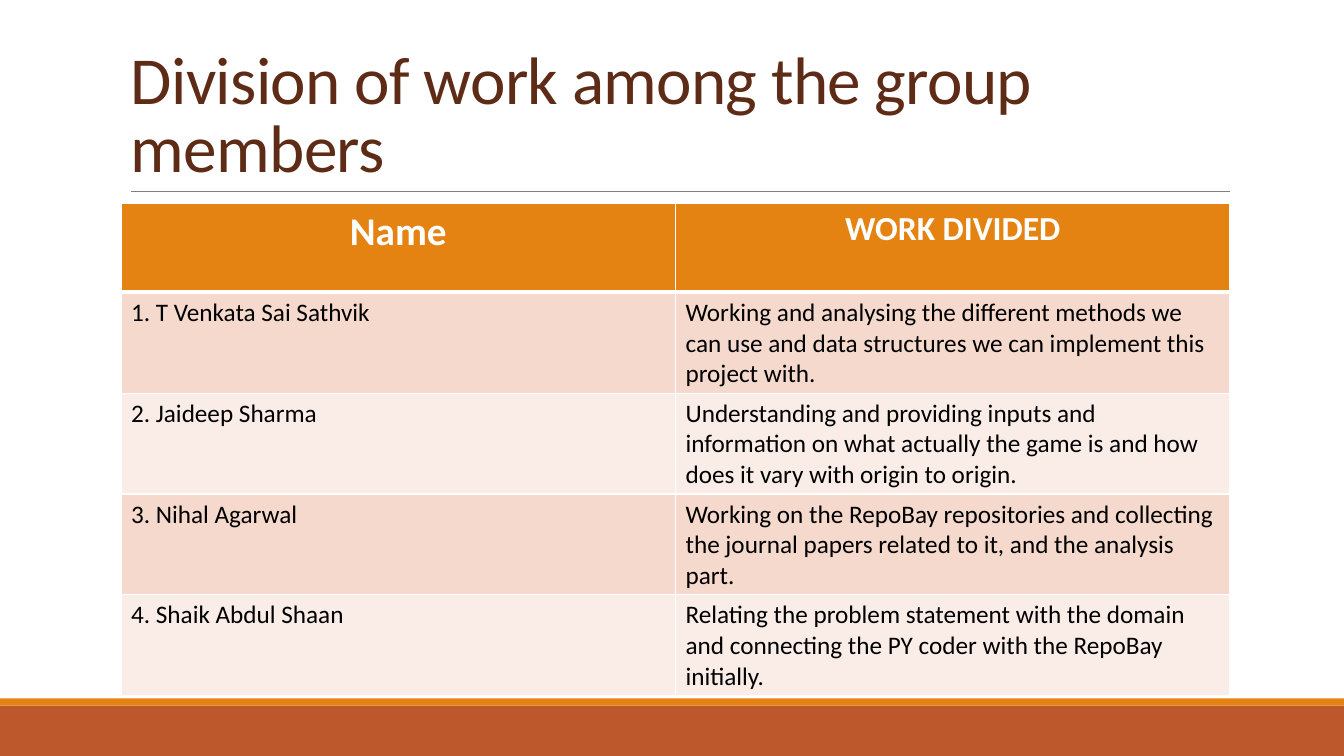
from lxml import etree
from pptx import Presentation
from pptx import util as u
from pptx.dml.color import RGBColor
from pptx.enum import shapes, text
from pptx.oxml.ns import qn

W, H = 13.33, 7.5
FONT = "Calibri"
ORANGE, RUST, BROWN, GREY = "E48312", "BD582C", "5E2C16", "808080"
WHITE, BLACK = "FFFFFF", "000000"
BANDS = ("F5D9CC", "FAEDE7")
LEFT, WIDTH = 1.2, 11
INSET = 0.1
TABLE_TOP, ROW_H = 2.02, 0.88

HEADINGS = (("Name", 28), ("WORK DIVIDED", 24))
MEMBERS = (
    ("1. T Venkata Sai Sathvik",
     "Working and analysing the different methods we can use and data "
     "structures we can implement this project with."),
    ("2. Jaideep Sharma",
     "Understanding and providing inputs and information on what actually "
     "the game is and how does it vary with origin to origin."),
    ("3. Nihal Agarwal",
     "Working on the RepoBay repositories and collecting the journal papers "
     "related to it, and the analysis part."),
    ("4. Shaik Abdul Shaan",
     "Relating the problem statement with the domain and connecting the "
     "PY coder with the RepoBay initially."),
)


def rgb(color):
    return RGBColor.from_string(color)


def style_text(p, size, color, bold=False):
    f = p.runs[0].font
    f.name, f.size, f.bold = FONT, u.Pt(size), bold
    f.color.rgb = rgb(color)


def add_band(s, top, height, color):
    """Draw a full-width stripe."""
    sp = s.shapes.add_shape(shapes.MSO_SHAPE.RECTANGLE, 0, u.Inches(top),
                            u.Inches(W), u.Inches(height))
    sp.shadow.inherit = False
    sp.fill.solid()
    sp.fill.fore_color.rgb = rgb(color)
    sp.line.fill.background()


def add_rule(s, x1, x2, y):
    """Draw the thin horizontal line under the title."""
    line = s.shapes.add_connector(shapes.MSO_CONNECTOR.STRAIGHT, u.Inches(x1),
                                  u.Inches(y), u.Inches(x2), u.Inches(y))
    line.line.color.rgb = rgb(GREY)
    line.line.width = u.Pt(0.5)
    etree.SubElement(line._element.spPr, qn("a:effectLst"))


def add_title(s, title, top, height):
    tf = s.shapes.add_textbox(u.Inches(LEFT), u.Inches(top), u.Inches(WIDTH),
                              u.Inches(height)).text_frame
    tf.word_wrap = True
    tf.vertical_anchor = text.MSO_ANCHOR.BOTTOM
    tf.text = title
    p = tf.paragraphs[0]
    p.line_spacing = 0.85
    style_text(p, 48, BROWN)
    p.runs[0]._r.get_or_add_rPr().set("spc", "-50")


def set_borders(cell, **widths):
    """Draw white cell borders, with widths in points keyed by side L, R, T, B."""
    tc_pr = cell._tc.get_or_add_tcPr()
    for side, width in widths.items():
        ln = etree.SubElement(tc_pr, qn(f"a:ln{side}"), w=str(u.Pt(width)))
        fill = etree.SubElement(ln, qn("a:solidFill"))
        etree.SubElement(fill, qn("a:srgbClr"), val=WHITE)


def fill_cell(cell, words, size, color, fill, heading=False, top=1, bottom=1):
    set_borders(cell, L=1, R=1, T=top, B=bottom)
    cell.fill.solid()
    cell.fill.fore_color.rgb = rgb(fill)
    cell.text = words
    p = cell.text_frame.paragraphs[0]
    p.alignment = text.PP_ALIGN.CENTER if heading else text.PP_ALIGN.LEFT
    style_text(p, size, color, heading)


def add_work_table(s):
    rows, cols = len(MEMBERS) + 1, len(HEADINGS)
    table = s.shapes.add_table(rows, cols, u.Inches(LEFT), u.Inches(TABLE_TOP),
                               u.Inches(WIDTH), u.Inches(ROW_H * rows)).table
    for c, (heading, size) in enumerate(HEADINGS):
        fill_cell(table.cell(0, c), heading, size, WHITE, ORANGE,
                  heading=True, bottom=3)
    for r, member in enumerate(MEMBERS, 1):
        for c, words in enumerate(member):
            fill_cell(table.cell(r, c), words, 18, BLACK, BANDS[(r - 1) % 2],
                      top=3 if r == 1 else 1)


def main():
    prs = Presentation()
    prs.slide_width, prs.slide_height = u.Inches(W), u.Inches(H)
    s = prs.slides.add_slide(prs.slide_layouts[6])
    add_band(s, H - 0.5, 0.5, RUST)
    add_band(s, H - 0.57, 0.07, ORANGE)
    add_rule(s, LEFT + INSET, LEFT + WIDTH, 1.9)
    add_title(s, "Division of work among the group members", 0.31, 1.59)
    add_work_table(s)
    prs.save("out.pptx")


if __name__ == "__main__":
    main()
